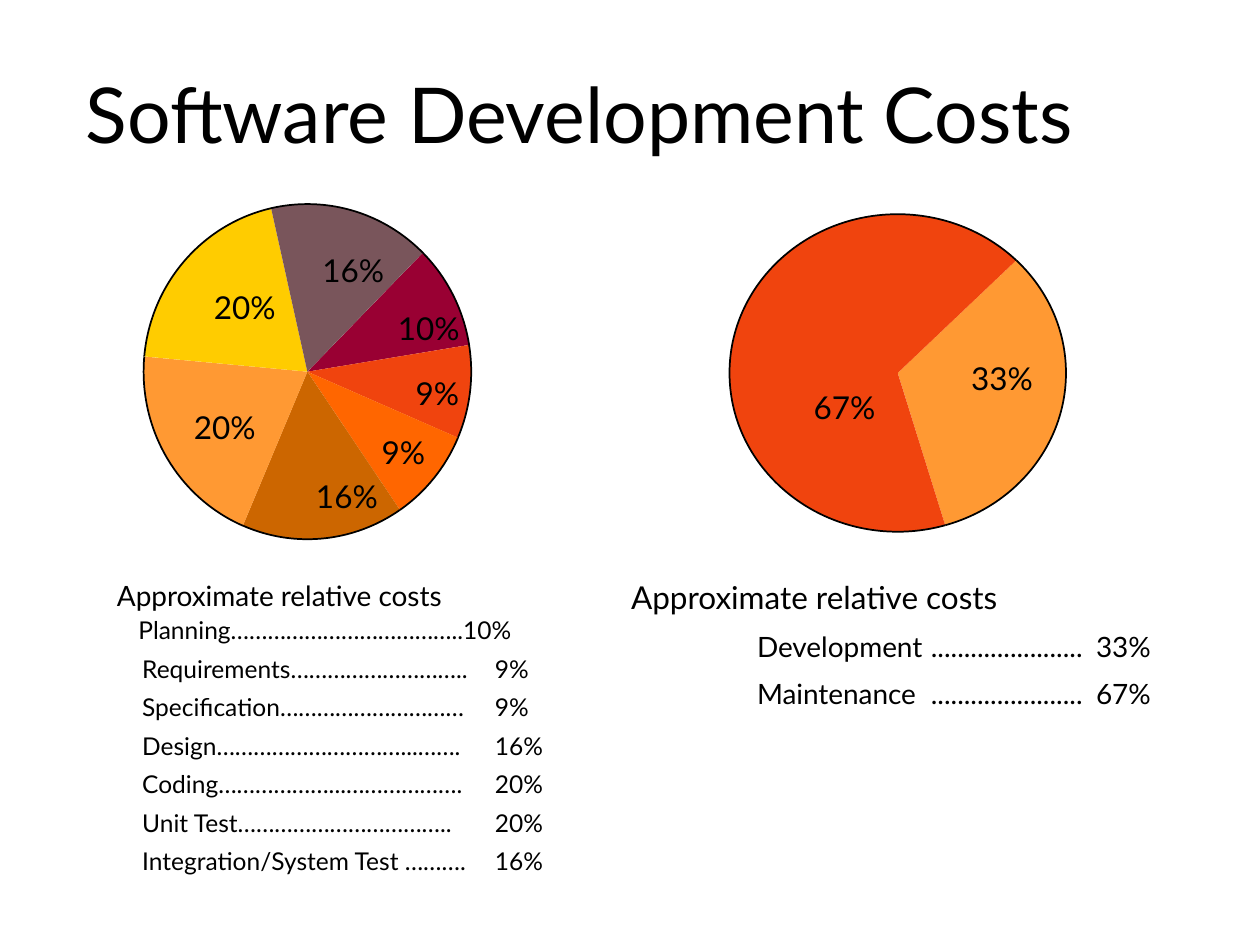
from copy import deepcopy
from dataclasses import dataclass
from math import cos, floor, radians, sin, tan

from lxml import etree
from pptx import Presentation
from pptx.dml.color import RGBColor
from pptx.enum.text import MSO_ANCHOR, MSO_AUTO_SIZE, PP_ALIGN
from pptx.oxml.ns import qn
from pptx.util import Inches, Pt

CENTER = PP_ALIGN.CENTER
MIDDLE, TOP = MSO_ANCHOR.MIDDLE, MSO_ANCHOR.TOP
NO_FIT, GROW = MSO_AUTO_SIZE.NONE, MSO_AUTO_SIZE.SHAPE_TO_FIT_TEXT

# The slide is a grid of 100 columns by 75 rows of square cells
COLUMNS, ROWS = 100, 75
CELL = Inches(0.1)
FONT, BLACK = "Lato", "000000"
START_ANGLE = -45.2  # degrees, clockwise from three o'clock


@dataclass
class Area:
    column: float
    row: float
    columns: float
    rows: float

    def lengths(self) -> list[int]:
        return [round(value * CELL) for value in
                (self.column, self.row, self.columns, self.rows)]


@dataclass
class Slice:
    percent: int
    color: str
    label_column: float
    label_row: float


@dataclass
class Line:
    text: str
    size: float
    before: float = 0
    tabs: tuple[float, ...] = ()  # inches from the text edge


def color(code: str) -> RGBColor:
    return RGBColor.from_string(code)


def set_values(target, values: dict) -> None:
    for name, value in values.items():
        setattr(target, name, value)


def format_font(para, size: float) -> None:
    set_values(para.font, {"name": FONT, "size": Pt(size)})
    para.font.color.rgb = color(BLACK)


def fill_title(box, text: str, area: Area) -> None:
    set_values(box, dict(zip(("left", "top", "width", "height"), area.lengths())))
    box.text_frame.text = text
    set_values(box.text_frame, {"vertical_anchor": MIDDLE, "auto_size": NO_FIT})
    para = box.text_frame.paragraphs[0]
    para.alignment = CENTER
    format_font(para, 44)


def draw_list(shapes, lines: list[Line], area: Area) -> None:
    frame = shapes.add_textbox(*area.lengths()).text_frame
    set_values(frame, {"vertical_anchor": TOP, "auto_size": NO_FIT, "word_wrap": True})
    for index, line in enumerate(lines):
        para = frame.paragraphs[0] if index == 0 else frame.add_paragraph()
        para.text = line.text
        para.space_before = Pt(line.before)
        if line.tabs:
            stops = etree.SubElement(para._p.get_or_add_pPr(), qn("a:tabLst"))
            for position in line.tabs:
                etree.SubElement(stops, qn("a:tab"), pos=str(Inches(position)), algn="l")
        format_font(para, line.size)


def curve_rim(wedge, area: Area, angles: list[float]) -> None:
    """Bend the rim segments into arcs and outline the rim alone."""
    left, top, width, height = area.lengths()
    middle_x, middle_y = left + width / 2 - wedge.left, top + height / 2 - wedge.top
    path = wedge._element.find(".//" + qn("a:path"))
    chords = path.findall(qn("a:lnTo"))[1:]
    for chord, start, end in zip(chords, angles, angles[1:]):
        reach = 4 / 3 * tan((end - start) / 4)
        curve = etree.Element(qn("a:cubicBezTo"))
        for angle, pull in ((start, reach), (end, -reach), (end, 0)):
            x = middle_x + width / 2 * (cos(angle) - pull * sin(angle))
            y = middle_y + height / 2 * (sin(angle) + pull * cos(angle))
            etree.SubElement(curve, qn("a:pt"), x=str(round(x)), y=str(round(y)))
        path.replace(chord, curve)
    rim = deepcopy(path)
    rim.remove(rim[0])
    rim.remove(rim[-1])
    rim[0].tag = qn("a:moveTo")
    rim.set("fill", "none")
    path.set("stroke", "0")
    path.addnext(rim)


def draw_wedge(shapes, area: Area, start: float, sweep: float, code: str) -> None:
    left, top, width, height = area.lengths()
    middle_x, middle_y = left + width / 2, top + height / 2
    # Cut the rim at each quarter turn
    end = start + sweep
    quarters = range(floor(start / 90) + 1, floor(end / 90) + 1)
    angles = [radians(turn) for turn in (start, *(90 * q for q in quarters), end)]
    points = [(round(middle_x + width / 2 * cos(angle)),
               round(middle_y + height / 2 * sin(angle))) for angle in angles]
    builder = shapes.build_freeform(round(middle_x), round(middle_y), scale=1.0)
    builder.add_line_segments(points, close=True)
    wedge = builder.convert_to_shape()
    curve_rim(wedge, area, angles)
    wedge.shadow.inherit = False
    wedge.fill.solid()
    wedge.fill.fore_color.rgb = color(code)
    wedge.line.color.rgb = color(BLACK)
    wedge.line.width = Pt(1)


def draw_label(shapes, part: Slice) -> None:
    columns = 7 if part.percent >= 10 else 5.5
    area = Area(part.label_column, part.label_row, columns, 4)
    frame = shapes.add_textbox(*area.lengths()).text_frame
    set_values(frame, {"word_wrap": False, "auto_size": GROW})
    frame.text = f"{part.percent}%"
    format_font(frame.paragraphs[0], 18)


def draw_pie(shapes, area: Area, slices: list[Slice]) -> None:
    start = START_ANGLE
    for part in slices:
        sweep = part.percent * 3.6
        draw_wedge(shapes, area, start, sweep, part.color)
        start += sweep
    for part in slices:
        draw_label(shapes, part)


PHASE_SLICES = [
    Slice(10, "990033", 30.6, 24),
    Slice(9, "F0440E", 32, 29.2),
    Slice(9, "FF6600", 29.3, 33.9),
    Slice(16, "CC6600", 24.1, 37.4),
    Slice(20, "FF9933", 14.4, 31.9),
    Slice(20, "FFCC00", 16, 22.4),
    Slice(16, "79555B", 24.6, 19.4),
]
LIFE_SLICES = [
    Slice(33, "FF9933", 76.1, 28),
    Slice(67, "F0440E", 63.6, 30.3),
]

HEADING = "Approximate relative costs"
PHASES = [
    "Requirements………………………..\t9%",
    "Specification…………………………\t9%",
    "Design…………………………...…….\t16%",
    "Coding………………...……………….\t20%",
    "Unit Test……………………………..\t20%",
    "Integration/System Test ……….\t16%",
]
PHASE_LINES = [
    Line(HEADING, 16),
    Line("\tPlanning………………………………..10%", 14, 2, (0.17,)),
    *[Line("\t" + phase, 14, 5.2, (0.2, 3)) for phase in PHASES],
]
LIFE_LINES = [
    Line(HEADING, 18),
    *[Line(f"\t{name}\t.......................\t{share}", 16, 7.6, (1, 2.38, 3.69))
      for name, share in (("Development", "33%"), ("Maintenance", "67%"))],
]


def main() -> None:
    deck = Presentation()
    set_values(deck, {"slide_width": COLUMNS * CELL, "slide_height": ROWS * CELL})
    page = deck.slides.add_slide(deck.slide_layouts[5])

    # Title
    fill_title(page.shapes.title, "Software Development Costs", Area(3.5, 1.1, 85, 15.7))

    # Pies
    draw_pie(page.shapes, Area(11.4, 16.2, 26, 26.6), PHASE_SLICES)
    draw_pie(page.shapes, Area(57.9, 17, 26.7, 25.2), LIFE_SLICES)

    # Cost lists
    draw_list(page.shapes, PHASE_LINES, Area(8.3, 45.4, 36.9, 24.7))
    draw_list(page.shapes, LIFE_LINES, Area(49.1, 45.4, 45.9, 15.7))

    deck.save("out.pptx")


if __name__ == "__main__":
    main()
